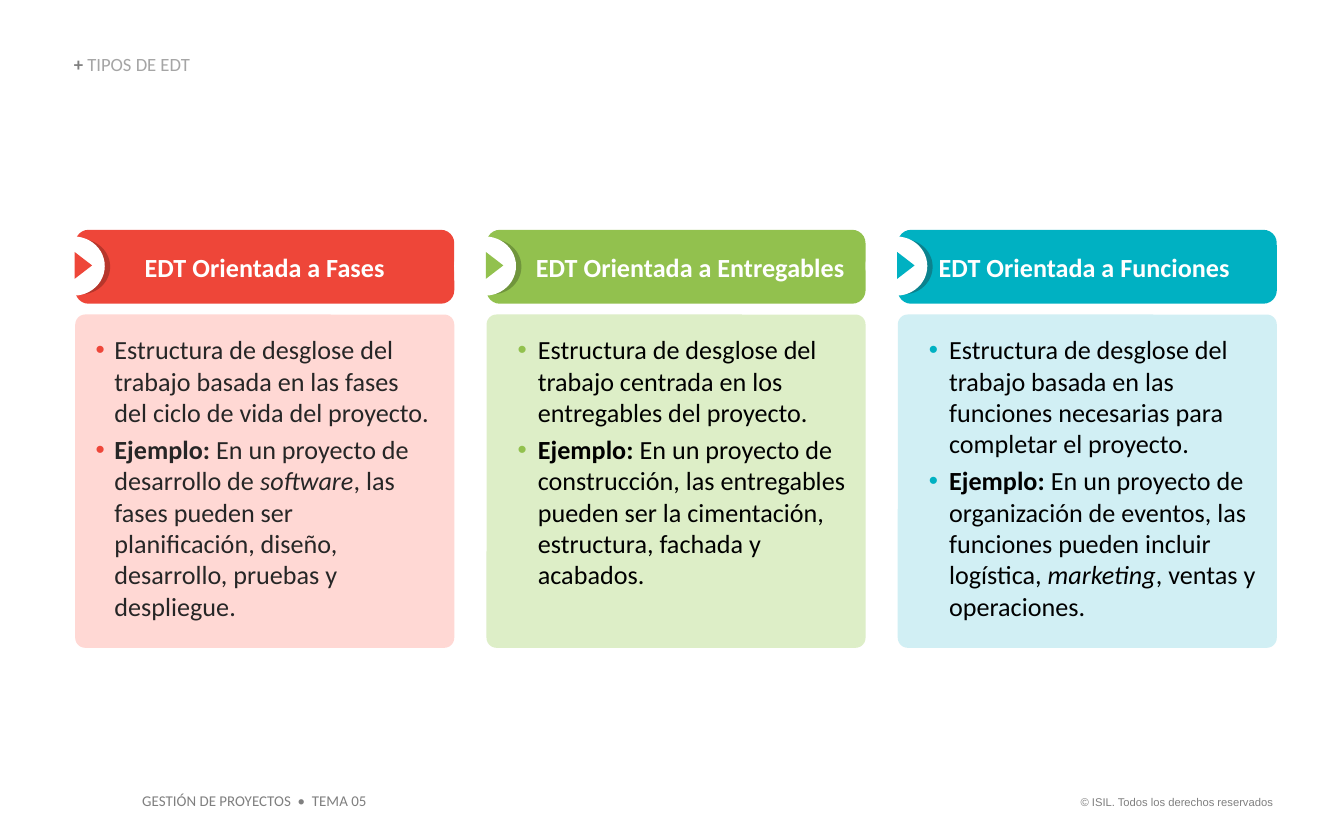
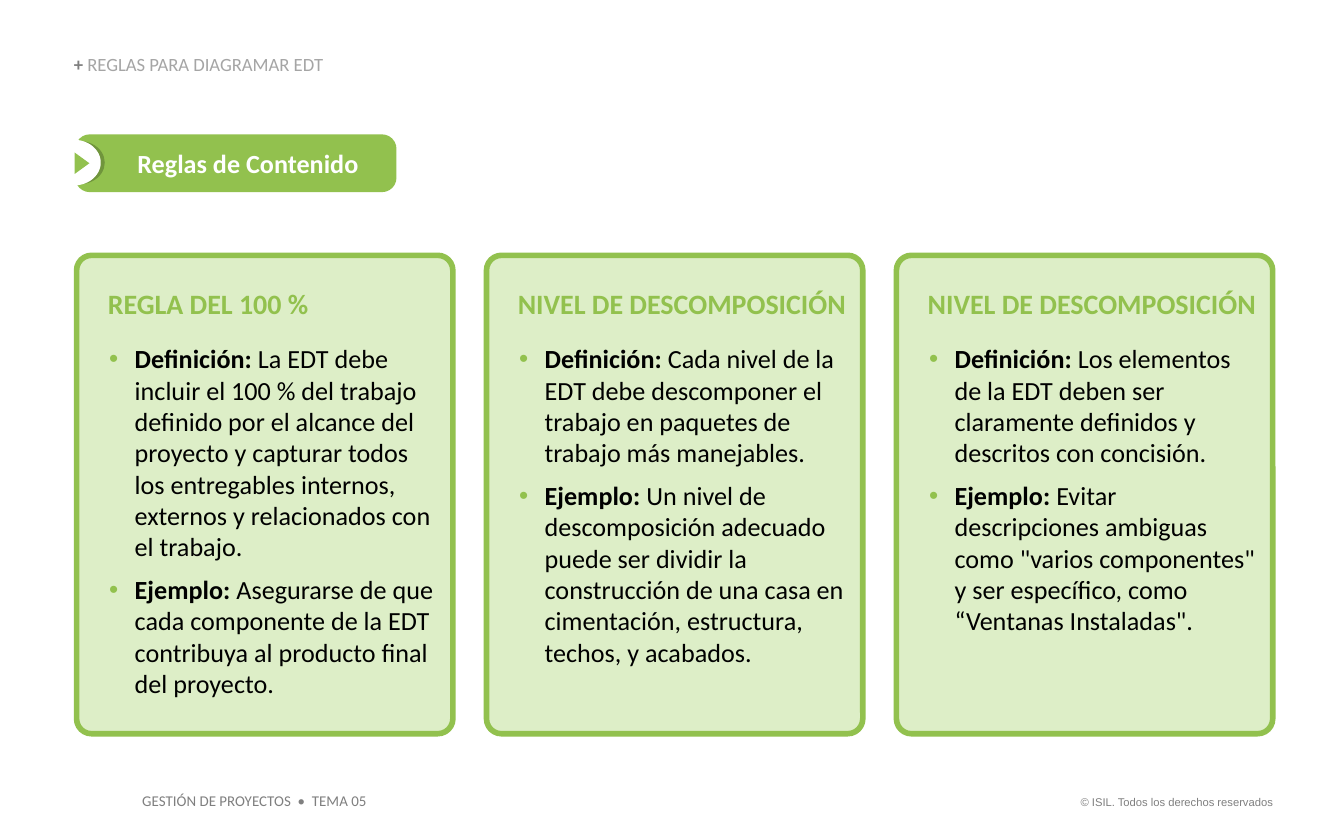
from dataclasses import dataclass

from lxml import etree
from pptx import Presentation
from pptx import util as u
from pptx.dml.color import RGBColor
from pptx.enum import shapes, text
from pptx.oxml import ns

PX = 9144


@dataclass(frozen=True)
class Tone:
    """Colours of one column."""
    main: str
    pale: str
    dark: str


@dataclass(frozen=True)
class Theme:
    """Colours, fonts and type sizes shared by the deck."""
    red: Tone = Tone("EE4639", "FFD8D4", "B7362B")
    green: Tone = Tone("92C14E", "DDEEC7", "70953C")
    cyan: Tone = Tone("00B1C2", "D1EFF4", "0B828E")
    white: str = "FFFFFF"
    black: str = "000000"
    ink: str = "262626"
    grey: str = "7F7F7F"
    light_grey: str = "A5A5A5"
    font: str = "Calibri"
    legal_font: str = "Arial"
    body: int = 14
    heading: int = 15
    title: int = 10
    footer: int = 8
    legal: int = 6


@dataclass(frozen=True)
class Box:
    """A rectangle in px."""
    left: int
    top: int
    width: int
    height: int

    def inner(self, left, top, width, height):
        """Return a box placed from this one's top left corner."""
        return Box(round(self.left + left), round(self.top + top), round(width), round(height))

    def emu(self):
        """Return the four lengths in EMU."""
        return [u.Emu(side * PX) for side in (self.left, self.top, self.width, self.height)]


THEME = Theme()
Kind = shapes.MSO_SHAPE


def write(para, words, size, color, style="", font=THEME.font):
    """Add one run to a paragraph."""
    span = para.add_run()
    span.text = words
    span.font.name = font
    span.font.size = u.Pt(size)
    span.font.bold = style == "bold"
    span.font.italic = style == "italic"
    span.font.color.rgb = RGBColor.from_string(color)


def set_frame(frame, insets, anchor=text.MSO_ANCHOR.TOP, grow=False):
    """Set insets, anchor, wrap and fit of a text frame."""
    left, top, right, bottom = (u.Emu(inset * PX) for inset in insets)
    frame.margin_left, frame.margin_top = left, top
    frame.margin_right, frame.margin_bottom = right, bottom
    frame.vertical_anchor = anchor
    frame.word_wrap = True
    fit = text.MSO_AUTO_SIZE
    frame.auto_size = fit.SHAPE_TO_FIT_TEXT if grow else fit.NONE


def set_bullet(para, color, indent, hanging):
    """Give a paragraph a coloured bullet and a hanging indent."""
    props = para._p.get_or_add_pPr()
    props.set("marL", str(indent * PX))
    props.set("indent", str(-hanging * PX))
    tint = etree.SubElement(props, ns.qn("a:buClr"))
    etree.SubElement(tint, ns.qn("a:srgbClr"), val=color)
    etree.SubElement(props, ns.qn("a:buFont"), typeface="Arial")
    etree.SubElement(props, ns.qn("a:buChar"), char="•")


def add_shape(tree, kind, box, fill, adjust=None):
    """Add a flat filled shape."""
    shape = tree.add_shape(kind, *box.emu())
    shape.shadow.inherit = False
    shape.fill.solid()
    shape.fill.fore_color.rgb = RGBColor.from_string(fill)
    shape.line.fill.background()
    if adjust is not None:
        shape.adjustments[0] = adjust
    return shape


def add_items(frame, items, tone, color, indent, hanging, gaps):
    """Fill a frame with bulleted items, reusing an empty first paragraph."""
    for item, gap in zip(items, gaps):
        first = frame.paragraphs[0]
        para = frame.add_paragraph() if first.runs else first
        para.alignment = text.PP_ALIGN.LEFT
        if gap:
            para.space_before = u.Pt(gap)
        set_bullet(para, tone.main, indent, hanging)
        for words, style in item:
            write(para, words, THEME.body, color, style)


def add_banner(tree, box, words, tone, adjust, inset, wide=1):
    """Add a rounded banner with a round arrow badge at its left end."""
    bar = add_shape(tree, Kind.ROUNDED_RECTANGLE, box, tone.main, adjust)
    set_frame(bar.text_frame, (inset, 5, 10, 5), text.MSO_ANCHOR.MIDDLE)
    para = bar.text_frame.paragraphs[0]
    para.alignment = text.PP_ALIGN.CENTER
    write(para, words, THEME.body, THEME.white, "bold")
    tall = box.height / 55
    shade = box.inner(-17 * wide, 7 * tall, 43 * wide, 41 * tall)
    disc = box.inner(-24 * wide, 5 * tall, 46 * wide, 44 * tall)
    tip = box.inner(-4 * wide, 20 * tall, 20 * tall, 13 * wide)
    add_shape(tree, Kind.OVAL, shade, tone.dark)
    add_shape(tree, Kind.OVAL, disc, THEME.white)
    add_shape(tree, Kind.ISOSCELES_TRIANGLE, tip, tone.main).rotation = 90


def add_type_column(page, box, heading, items, tone, color, inset, indent, hanging):
    """Add a banner with a pale panel of bullets below it."""
    tree = page.shapes.add_group_shape().shapes
    add_banner(tree, box.inner(0, 0, box.width, 55), heading, tone, 0.18, inset)
    panel = add_shape(tree, Kind.ROUNDED_RECTANGLE,
                      box.inner(0, 63, box.width, box.height - 63), tone.pale, 0.03)
    set_frame(panel.text_frame, (12, 12, 12, 5))
    add_items(panel.text_frame, items, tone, color, indent, hanging, (0, 3))


def add_rule_card(tree, box, heading, items, tone):
    """Add an outlined card with a heading and bullets."""
    card = add_shape(tree, Kind.ROUNDED_RECTANGLE, box, tone.pale, 0.04)
    card.line.color.rgb = RGBColor.from_string(tone.main)
    card.line.width = u.Pt(3)
    set_frame(card.text_frame, (20, 20, 4, 5))
    para = card.text_frame.paragraphs[0]
    para.alignment = text.PP_ALIGN.LEFT
    write(para, heading, THEME.heading, tone.main, "bold")
    add_items(card.text_frame, items, tone, THEME.black, 20, 19, (12, 6))


def add_page(deck, title):
    """Add a page with its title."""
    page = deck.slides.add_slide(deck.slide_layouts[5])
    holder = page.shapes.title
    holder.left, holder.top, holder.width, holder.height = Box(55, 41, 266, 15).emu()
    set_frame(holder.text_frame, (0, 0, 0, 0), text.MSO_ANCHOR.BOTTOM, grow=True)
    para = holder.text_frame.paragraphs[0]
    para.alignment = text.PP_ALIGN.LEFT
    para.line_spacing = 0.9
    write(para, "+ ", THEME.title, THEME.grey, "bold")
    write(para, title, THEME.title, THEME.light_grey)
    return page


def set_layout(page):
    """Replace the footer placeholders of the layout with the shared footers."""
    layout = page.slide_layout
    footers = (shapes.PP_PLACEHOLDER.DATE, shapes.PP_PLACEHOLDER.FOOTER,
               shapes.PP_PLACEHOLDER.SLIDE_NUMBER)
    for owner in (layout, layout.slide_master):
        for holder in list(owner.placeholders):
            if holder.placeholder_format.type in footers:
                owner.shapes.element.remove(holder.element)
    align = text.PP_ALIGN
    for box, words, size, font, side in (
        (Box(791, 587, 166, 20), "© ISIL. Todos los derechos reservados",
         THEME.legal, THEME.legal_font, align.RIGHT),
        (Box(96, 584, 190, 24), "GESTIÓN DE PROYECTOS  •  TEMA 05",
         THEME.footer, THEME.font, align.LEFT),
    ):
        label = page.shapes.add_textbox(*box.emu())
        set_frame(label.text_frame, (10, 5, 10, 5), grow=True)
        para = label.text_frame.paragraphs[0]
        para.alignment = side
        write(para, words, size, THEME.grey, font=font)
        layout.shapes.element.append(label.element)


def example(*parts):
    """Return an example item, with every second part in italics."""
    styles = ("", "italic", "")
    return [("Ejemplo: ", "bold"), *zip(parts, styles)]


def build_types(deck):
    """Build the page on the types of EDT."""
    page = add_page(deck, "TIPOS DE EDT")
    set_layout(page)
    columns = (
        ("EDT Orientada a Fases", THEME.red, THEME.ink, 10, 15, 14,
         "Estructura de desglose del trabajo basada en las fases del ciclo de vida del proyecto.",
         example("En un proyecto de desarrollo de ", "software",
                 ", las fases pueden ser planificación, diseño, desarrollo, pruebas y despliegue.")),
        ("EDT Orientada a Entregables", THEME.green, THEME.black, 31, 24, 15,
         "Estructura de desglose del trabajo centrada en los entregables del proyecto.",
         example("En un proyecto de construcción, las entregables pueden ser la cimentación, "
                 "estructura, fachada y acabados.")),
        ("EDT Orientada a Funciones ", THEME.cyan, THEME.black, 10, 24, 15,
         "Estructura de desglose del trabajo basada en las funciones necesarias para completar "
         "el proyecto.",
         example("En un proyecto de organización de eventos, las funciones pueden incluir "
                 "logística, ", "marketing", ", ventas y operaciones.")),
    )
    for index, (heading, tone, color, inset, indent, hanging, meaning, sample) in enumerate(columns):
        add_type_column(page, Box(56 + 306 * index, 171, 282, 311), heading,
                        ([(meaning, "")], sample), tone, color, inset, indent, hanging)


def build_rules(deck):
    """Build the page on the content rules."""
    page = add_page(deck, "REGLAS PARA DIAGRAMAR EDT")
    banner = page.shapes.add_group_shape().shapes
    add_banner(banner, Box(56, 100, 239, 43), "Reglas de Contenido", THEME.green, 0.25, 28, 0.87)
    rules = (
        ("REGLA DEL 100 %",
         "La EDT debe incluir el 100 % del trabajo definido por el alcance del proyecto y "
         "capturar todos los entregables internos, externos y relacionados con el trabajo.",
         "Asegurarse de que cada componente de la EDT contribuya al producto final del proyecto."),
        ("NIVEL DE DESCOMPOSICIÓN",
         "Cada nivel de la EDT debe descomponer el trabajo en paquetes de trabajo más manejables.",
         "Un nivel de descomposición adecuado puede ser dividir la construcción de una casa en "
         "cimentación, estructura, techos, y acabados."),
        ("NIVEL DE DESCOMPOSICIÓN",
         "Los elementos de la EDT deben ser claramente definidos y descritos con concisión.",
         "Evitar descripciones ambiguas como \"varios componentes\" y ser específico, como "
         "“Ventanas Instaladas\"."),
    )
    cards = page.shapes.add_group_shape().shapes
    for index, (heading, meaning, sample) in enumerate(rules):
        items = ([("Definición: ", "bold"), (meaning, "")], example(sample))
        add_rule_card(cards, Box(57 + 305 * index, 190, 280, 356), heading, items, THEME.green)


def main():
    """Build and save the deck."""
    deck = Presentation()
    deck.slide_width, deck.slide_height = u.Emu(1000 * PX), u.Emu(625 * PX)
    build_types(deck)
    build_rules(deck)
    deck.save("out.pptx")


if __name__ == "__main__":
    main()
